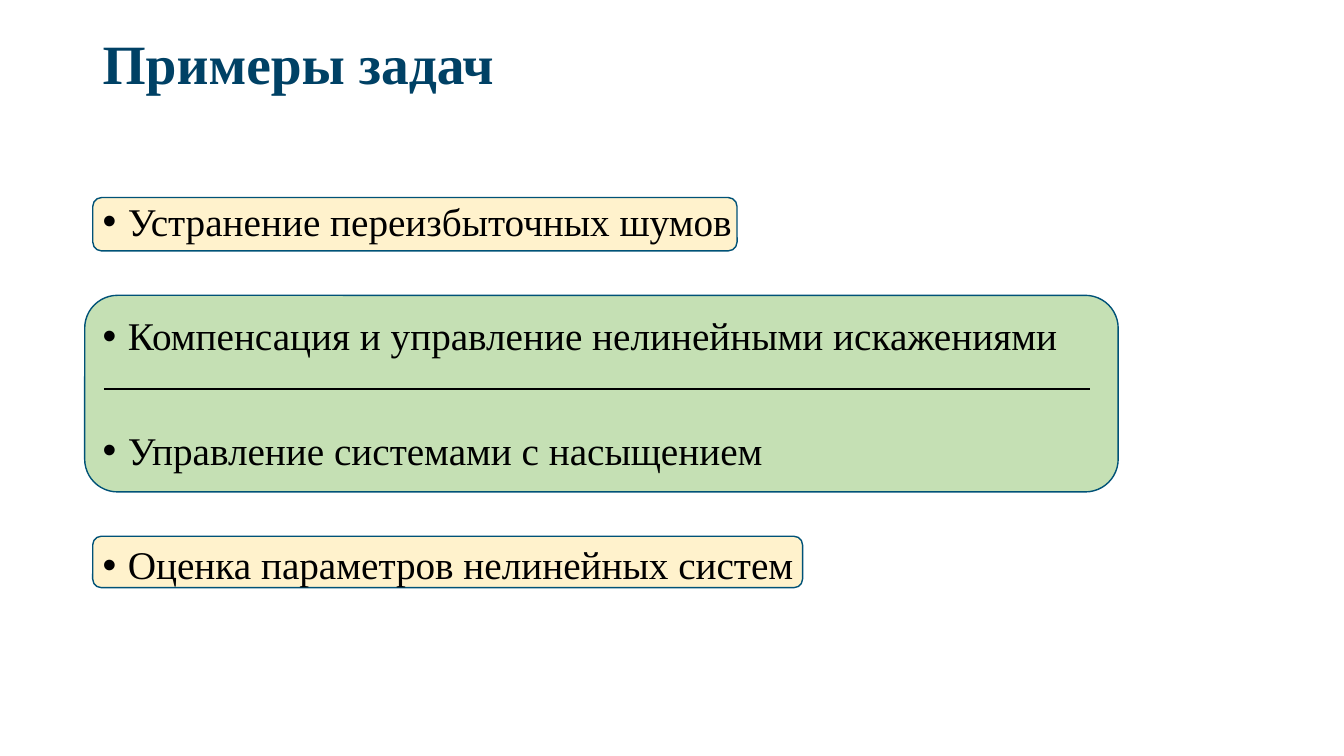
"""Build the slide with example tasks grouped in coloured frames."""
from dataclasses import dataclass

from lxml import etree
from pptx import Presentation
from pptx import util as u
from pptx.dml.color import RGBColor
from pptx.enum import shapes, text
from pptx.oxml import ns
from pptx.shapes.autoshape import Shape
from pptx.slide import Slide
from pptx.text.text import _Paragraph as Paragraph

PX = 9144


@dataclass(frozen=True)
class Theme:
    font: str = "Times New Roman"
    title: str = "004165"
    body: str = "000000"
    border: str = "005277"
    cream: str = "FFF2CC"
    green: str = "C5E0B4"
    title_size: float = 39.6
    body_size: float = 28
    border_width: float = 1
    divider_width: float = 1.5
    line_spacing: float = 0.9
    task_gap: float = 51.5


@dataclass(frozen=True)
class Frame:
    left: int
    top: int
    width: int
    height: int
    fill: str


THEME = Theme()
FRAMES = (
    Frame(92, 532, 704, 51, THEME.cream),
    Frame(92, 196, 639, 53, THEME.cream),
    Frame(84, 293, 1025, 195, THEME.green),
)
TASKS = (
    "Устранение переизбыточных шумов",
    "Компенсация и управление нелинейными искажениями",
    "Управление системами с насыщением",
    "Оценка параметров нелинейных систем",
)


def px(length: int) -> u.Emu:
    return u.Emu(length * PX)


def rgb(code: str) -> RGBColor:
    return RGBColor.from_string(code)


def add_frame(page: Slide, frame: Frame) -> None:
    box = page.shapes.add_shape(
        shapes.MSO_SHAPE.ROUNDED_RECTANGLE,
        px(frame.left), px(frame.top), px(frame.width), px(frame.height),
    )
    box.shadow.inherit = False
    box.fill.solid()
    box.fill.fore_color.rgb = rgb(frame.fill)
    box.line.color.rgb = rgb(THEME.border)
    box.line.width = u.Pt(THEME.border_width)


def add_text_box(page: Slide, top: int, height: int, content: str) -> Shape:
    box = page.shapes.add_textbox(px(92), px(top), px(1150), px(height))
    box.text_frame.word_wrap = True
    box.text_frame.auto_size = text.MSO_AUTO_SIZE.NONE
    box.text_frame.text = content
    return box


def style(para: Paragraph, size: float, color: str, bold: bool) -> None:
    para.line_spacing = THEME.line_spacing
    for span in para.runs:
        span.font.name = THEME.font
        span.font.size = u.Pt(size)
        span.font.bold = bold
        span.font.color.rgb = rgb(color)


def add_bullet(para: Paragraph) -> None:
    props = para._p.get_or_add_pPr()
    props.set("marL", str(px(25)))
    props.set("indent", str(-px(25)))
    etree.SubElement(props, ns.qn("a:buFont")).set("typeface", "Arial")
    etree.SubElement(props, ns.qn("a:buChar")).set("char", "•")


def add_title(page: Slide) -> None:
    box = add_text_box(page, 40, 52, "Примеры задач")
    box.text_frame.vertical_anchor = text.MSO_ANCHOR.MIDDLE
    style(box.text_frame.paragraphs[0], THEME.title_size, THEME.title, True)


def add_tasks(page: Slide) -> None:
    box = add_text_box(page, 196, 480, "\n".join(TASKS))
    for index, para in enumerate(box.text_frame.paragraphs):
        style(para, THEME.body_size, THEME.body, False)
        para.space_before = u.Pt(THEME.task_gap if index else 0)
        add_bullet(para)


def add_divider(page: Slide) -> None:
    divider = page.shapes.add_connector(
        shapes.MSO_CONNECTOR.STRAIGHT, px(103), px(386), px(1081), px(386)
    )
    divider.line.color.rgb = rgb(THEME.body)
    divider.line.width = u.Pt(THEME.divider_width)
    etree.SubElement(divider._element.spPr, ns.qn("a:effectLst"))


def main() -> None:
    deck = Presentation()
    deck.slide_width = px(1333)
    deck.slide_height = px(750)
    page = deck.slides.add_slide(deck.slide_layouts[6])
    for frame in FRAMES:
        add_frame(page, frame)
    add_title(page)
    add_tasks(page)
    add_divider(page)
    deck.save("out.pptx")


if __name__ == "__main__":
    main()
